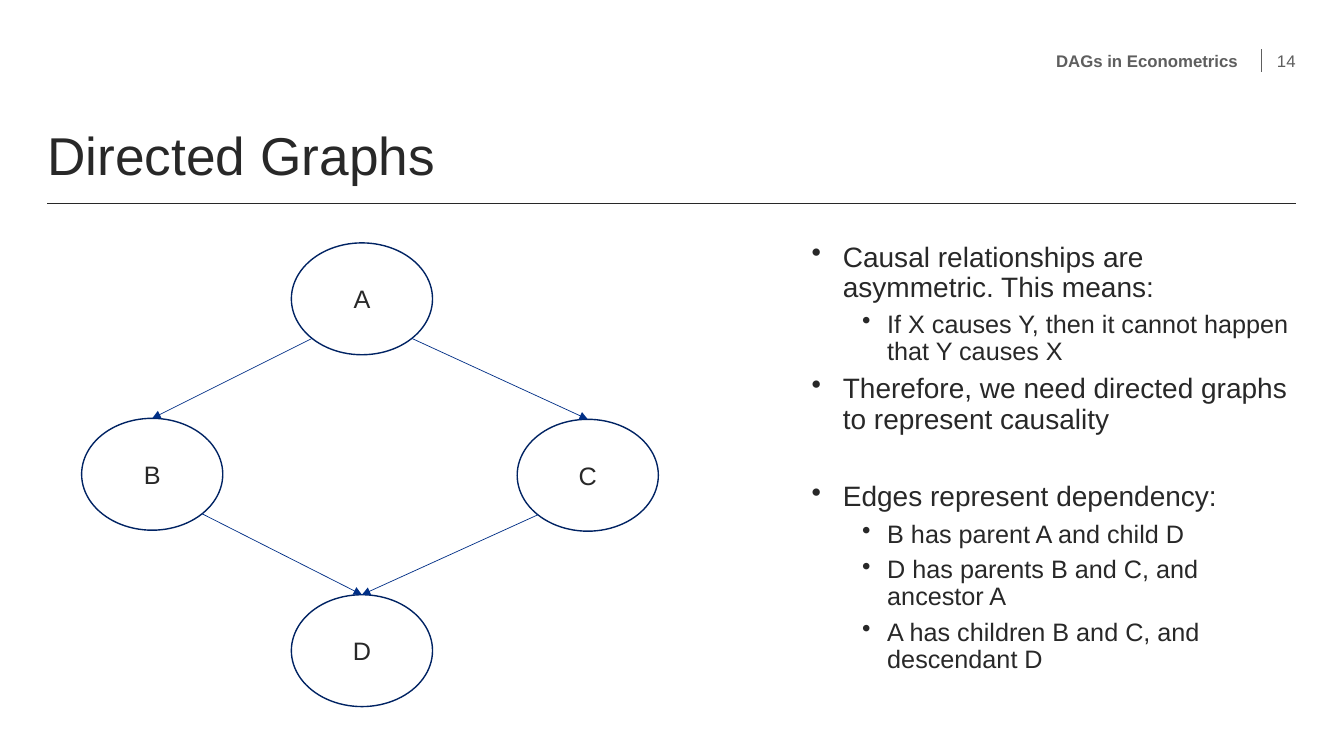
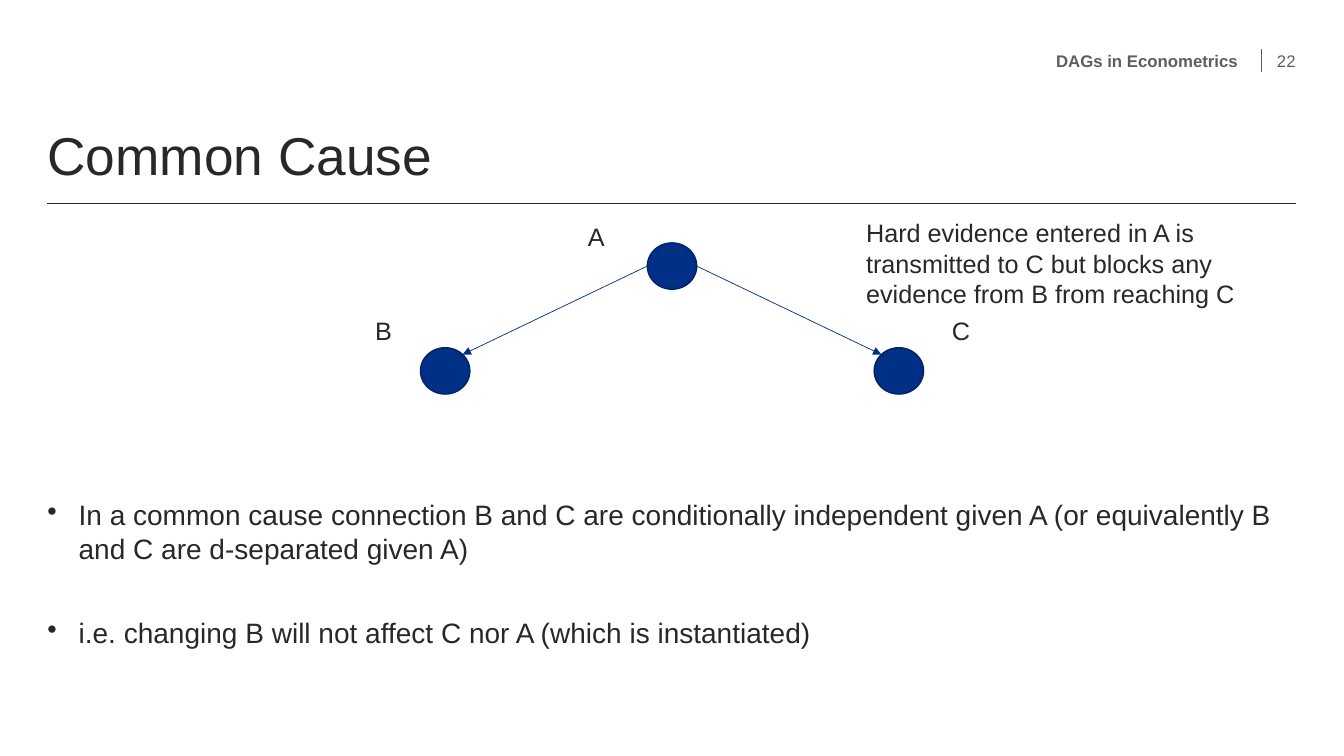
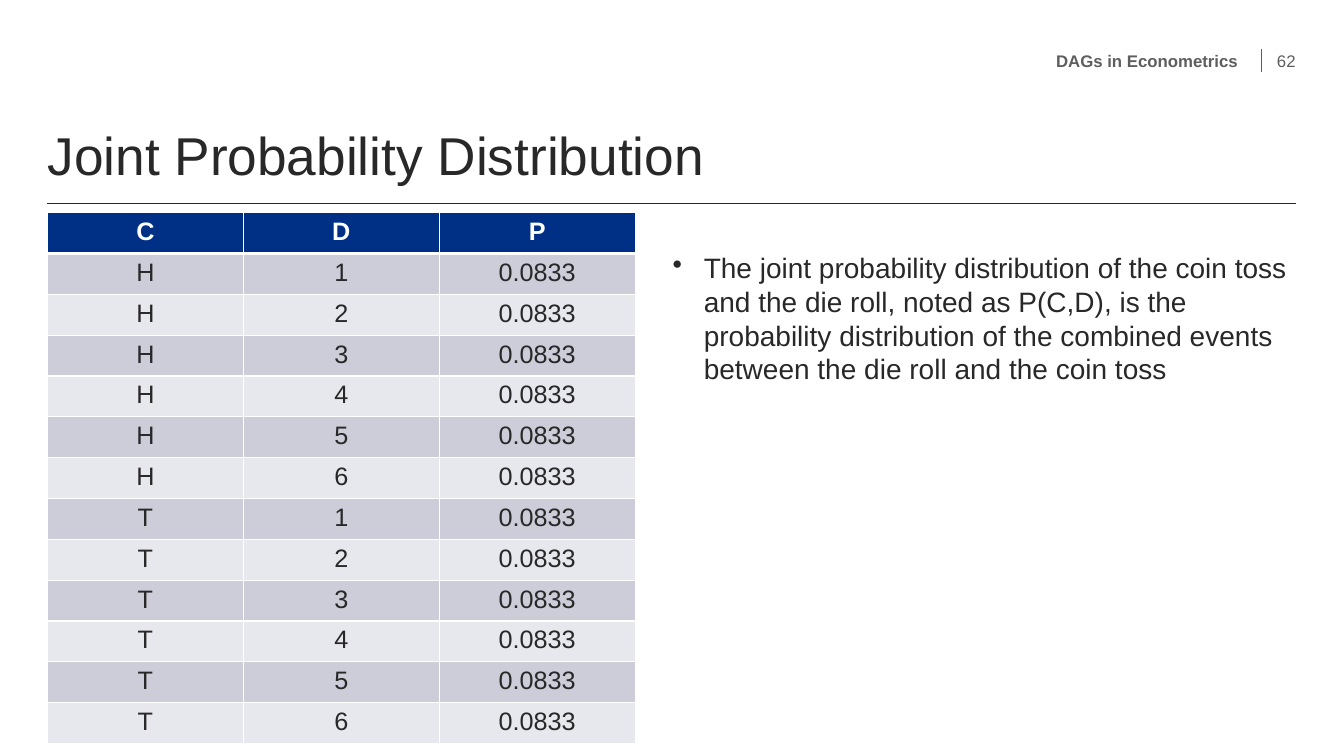
from itertools import product

from lxml import etree
from pptx import Presentation
from pptx.dml.color import RGBColor
from pptx.enum.shapes import MSO_CONNECTOR, MSO_SHAPE
from pptx.enum.text import MSO_ANCHOR, PP_ALIGN
from pptx.oxml.ns import qn
from pptx.util import Inches, Pt

STRAIGHT = MSO_CONNECTOR.STRAIGHT
OVAL = MSO_SHAPE.OVAL
TOP, MIDDLE, BOTTOM = MSO_ANCHOR.TOP, MSO_ANCHOR.MIDDLE, MSO_ANCHOR.BOTTOM
LEFT, CENTER, RIGHT = PP_ALIGN.LEFT, PP_ALIGN.CENTER, PP_ALIGN.RIGHT

INK = RGBColor(0x28, 0x28, 0x28)
GRAY = RGBColor(0x5E, 0x5E, 0x5E)
BLUE = RGBColor(0x00, 0x2F, 0x86)
NAVY = RGBColor(0x00, 0x23, 0x63)
WHITE = RGBColor(0xFF, 0xFF, 0xFF)
BANDS = [RGBColor(0xE7, 0xE8, 0xED), RGBColor(0xCC, 0xCD, 0xD9)]
FONT = "Arial"
EDGE, WIDE = 0.47, 12.38
DIAG = 0.5 ** 0.5 / 2  # reach of an oval's 45° point, as a share of its size


def write(slide, box, text, size, color=INK, align=LEFT, anchor=TOP):
    frame = slide.shapes.add_textbox(*map(Inches, box)).text_frame
    frame.word_wrap = True
    frame.vertical_anchor = anchor
    frame.margin_left = frame.margin_right = 0
    frame.margin_top = frame.margin_bottom = 0
    frame.text = text
    for para in frame.paragraphs:
        para.alignment = align
        para.font.name, para.font.size = FONT, Pt(size)
        para.font.color.rgb = color
    return frame


def draw(slide, start, end, color, width, arrow=False):
    line = slide.shapes.add_connector(STRAIGHT, *map(Inches, start + end))
    line.line.color.rgb = color
    line.line.width = Pt(width)
    if arrow:
        etree.SubElement(line.line._get_or_add_ln(), qn("a:tailEnd"), type="triangle")
    etree.SubElement(line._element.spPr, qn("a:effectLst"))
    return line


# Page number, title, body box, line spacing, body items (level, space before, text)
PAGES = [
    (14, "Directed Graphs", (8.05, 2.41, 4.8, 4.6), 0.9, [
        (0, 0, "Causal relationships are asymmetric. This means:"),
        (1, 6, "If X causes Y, then it cannot happen that Y causes X"),
        (0, 6, "Therefore, we need directed graphs to represent causality"),
        (0, 34, "Edges represent dependency:"),
        (1, 6, "B has parent A and child D"),
        (1, 6, "D has parents B and C, and ancestor A"),
        (1, 6, "A has children B and C, and descendant D"),
    ]),
    (22, "Common Cause", (EDGE, 4.94, WIDE, 2.07), 1.0, [
        (0, 0, "In a common cause connection B and C are conditionally independent "
               "given A (or equivalently B and C are d-separated given A)"),
        (0, 36, "i.e. changing B will not affect C nor A (which is instantiated)"),
    ]),
    (62, "Joint Probability Distribution", (6.67, 2.49, 6.18, 4.53), 1.0, [
        (0, 0, "The joint probability distribution of the coin toss and the die roll, "
               "noted as P(C,D), is the probability distribution of the combined "
               "events between the die roll and the coin toss"),
    ]),
]
LEVELS = [(0.31, 0.31, 20), (0.75, 0.25, 18)]  # indent, hang, size

prs = Presentation()
prs.slide_width, prs.slide_height = Inches(13.33), Inches(7.5)

# Header, title and bullets of every slide
slides = []
for number, title, box, pitch, items in PAGES:
    slide = prs.slides.add_slide(prs.slide_layouts[6])
    slides.append(slide)
    draw(slide, (EDGE, 2.02), (EDGE + WIDE, 2.02), INK, 1)
    draw(slide, (12.51, 0.71), (12.51, 0.49), GRAY, 1)
    head = write(slide, (EDGE, 1.25, WIDE, 0.61), title, 38, anchor=BOTTOM)
    head.paragraphs[0].line_spacing = 0.9
    name = write(slide, (4.42, 0.49, 7.86, 0.23), "DAGs in Econometrics", 12,
                 GRAY, RIGHT, MIDDLE)
    name.paragraphs[0].font.bold = True
    write(slide, (12.56, 0.49, 0.29, 0.23), str(number), 12, GRAY, RIGHT, MIDDLE)

    body = write(slide, box, "\n".join(item[2] for item in items), 20)
    for para, (level, before, _) in zip(body.paragraphs, items):
        indent, hang, size = LEVELS[level]
        props = para._p.get_or_add_pPr()
        props.set("marL", str(Inches(indent)))
        props.set("indent", str(-Inches(hang)))
        bullet = etree.Element(qn("a:buChar"), char="•")
        props.insert(0, bullet)
        para.level = level
        para.line_spacing = pitch
        para.space_before = Pt(before)
        para.font.size = Pt(size)

graph, cause, joint = slides

# Directed graph: labelled ovals joined from parent to child
W, H = 1.4, 1.11
SPOTS = {"A": (2.89, 2.41), "B": (0.81, 4.15), "C": (5.13, 4.16), "D": (2.89, 5.9)}
nodes = {}
for key, (x, y) in SPOTS.items():
    node = graph.shapes.add_shape(OVAL, *map(Inches, (x, y, W, H)))
    node.shadow.inherit = False
    node.fill.background()
    node.line.color.rgb = NAVY
    node.line.width = Pt(1)
    node.text_frame.text = key
    para = node.text_frame.paragraphs[0]
    para.alignment = CENTER
    para.font.name, para.font.size = FONT, Pt(18)
    para.font.color.rgb = INK
    nodes[key] = node
for par, kid in ("AB", "AC", "CD", "BD"):
    (x, y), (kx, ky) = SPOTS[par], SPOTS[kid]
    side = 1 if kx > x else -1
    start = (x + W / 2 + side * W * DIAG, y + H / 2 + H * DIAG)
    edge = draw(graph, start, (kx + W / 2, ky), BLUE, 0.5, arrow=True)
    edge.end_connect(nodes[kid], 0)

# Common cause: dots with labels beside them
W, H = 0.49, 0.46
DOTS = [("A", 6.42, 2.41, 5.83, 2.2), ("B", 4.17, 3.45, 3.72, 3.13),
        ("C", 8.67, 3.45, 9.44, 3.13)]
for key, x, y, left, top in DOTS:
    dot = cause.shapes.add_shape(OVAL, *map(Inches, (x, y, W, H)))
    dot.shadow.inherit = False
    dot.fill.solid()
    dot.fill.fore_color.rgb = BLUE
    dot.line.color.rgb = NAVY
    dot.line.width = Pt(1)
    write(cause, (left, top, 0.2, 0.3), key, 18)
_, x, y, _, _ = DOTS[0]
for side, (_, kx, ky, _, _) in zip((-1, 1), DOTS[1:]):
    start = (x + W / 2 + side * W / 2, y + H / 2)
    end = (kx + W / 2 - side * W * DIAG, ky + H / 2 - H * DIAG)
    draw(cause, start, end, BLUE, 0.5, arrow=True)
write(cause, (8.59, 2.16, 4.22, 0.91), "Hard evidence entered in A is transmitted "
      "to C but blocks any evidence from B from reaching C", 18)

# Joint distribution: every coin side with every die face
rows = [("C", "D", "P")]
rows += [(coin, str(die), "0.0833") for coin, die in product("HT", range(1, 7))]
table = joint.shapes.add_table(len(rows), 3, Inches(EDGE), Inches(2.11),
                               Inches(5.83), Inches(5.27)).table
for r, row in enumerate(rows):
    for c, value in enumerate(row):
        cell = table.cell(r, c)
        cell.text = value
        para = cell.text_frame.paragraphs[0]
        para.alignment = CENTER
        para.font.name, para.font.size = FONT, Pt(18)
        para.font.bold = r == 0
        para.font.color.rgb = INK if r else WHITE
        props = cell._tc.get_or_add_tcPr()
        for tag in ("lnL", "lnR", "lnT", "lnB"):
            thick = (r, tag) in ((0, "lnB"), (1, "lnT"))
            rule = etree.SubElement(props, qn("a:" + tag), w=str(Pt(3 if thick else 1)))
            fill = etree.SubElement(rule, qn("a:solidFill"))
            etree.SubElement(fill, qn("a:srgbClr"), val=str(WHITE))
        cell.fill.solid()
        cell.fill.fore_color.rgb = BANDS[r % 2] if r else BLUE

prs.save("out.pptx")
